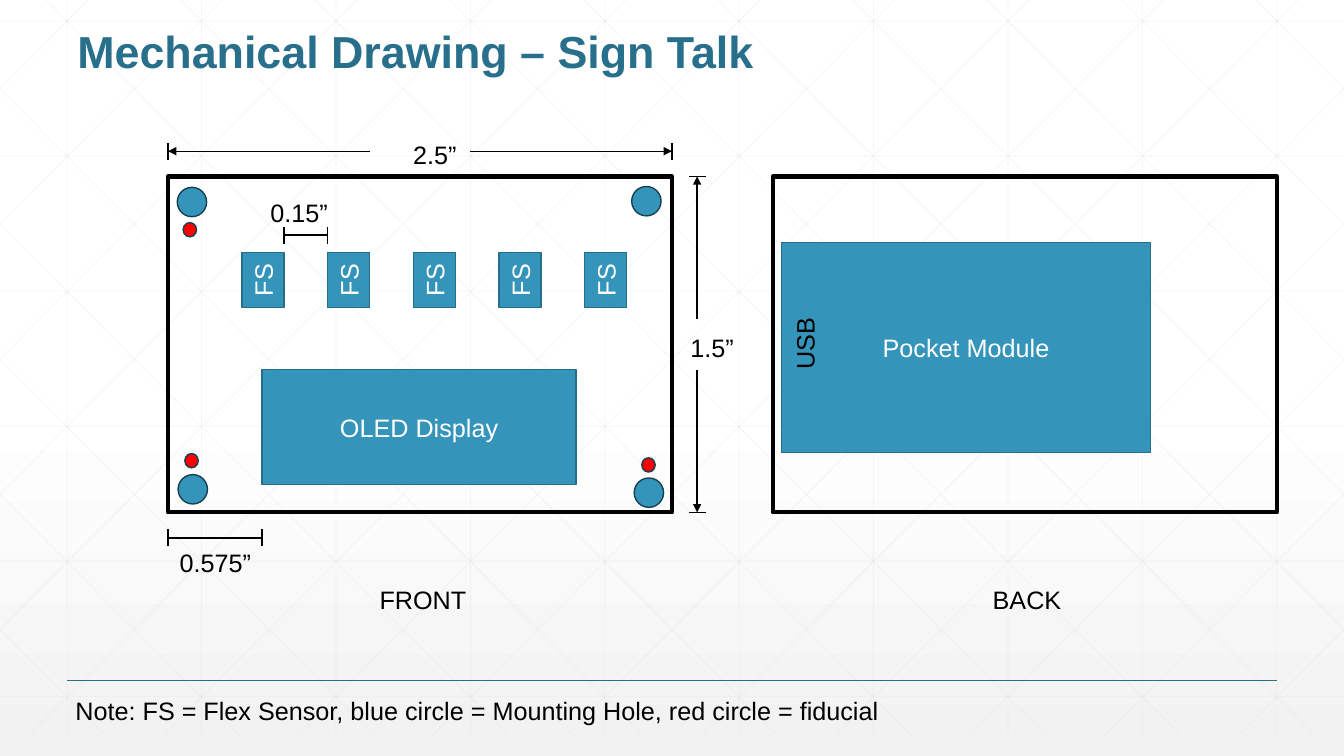
"""Build the mechanical drawing slide on a grid of 160 columns by 90 rows."""
from dataclasses import dataclass
from typing import Optional

import pptx
import pptx.dml.color
import pptx.enum.shapes
import pptx.enum.text
import pptx.oxml
import pptx.oxml.ns
import pptx.util
from lxml import etree

RGBColor = pptx.dml.color.RGBColor
MSO_SHAPE = pptx.enum.shapes.MSO_SHAPE
MSO_ANCHOR = pptx.enum.text.MSO_ANCHOR
MSO_AUTO_SIZE = pptx.enum.text.MSO_AUTO_SIZE
PP_ALIGN = pptx.enum.text.PP_ALIGN
qn = pptx.oxml.ns.qn

BLACK = RGBColor(0x00, 0x00, 0x00)
WHITE = RGBColor(0xFF, 0xFF, 0xFF)
LIGHT_GRAY = RGBColor(0xF2, 0xF2, 0xF2)
GRID_GRAY = RGBColor(0xD9, 0xD9, 0xD9)
TITLE_BLUE = RGBColor(0x27, 0x6F, 0x8B)
PART_BLUE = RGBColor(0x34, 0x94, 0xBA)
PART_EDGE = RGBColor(0x26, 0x6D, 0x8A)
HOLE_EDGE = RGBColor(0x17, 0x41, 0x52)
RED = RGBColor(0xFF, 0x00, 0x00)

COLUMNS, ROWS = 160, 90
GRID_TOP, GRID_BOTTOM, GRID_STEP = -2.5, 87.5, 16
DIAGONAL_RUN = 89.5
FONT = "Arial"


@dataclass
class Box:
    """A rectangle on the grid."""
    left: float
    top: float
    width: float
    height: float


@dataclass
class Part:
    """A filled or outlined shape of the board."""
    box: Box
    fill: Optional[RGBColor] = PART_BLUE
    edge: RGBColor = PART_EDGE
    weight: float = 1
    kind: MSO_SHAPE = MSO_SHAPE.RECTANGLE
    text: str = ""
    vertical: bool = False


@dataclass
class Label:
    """A black text on the grid."""
    text: str
    box: Box
    wrap: bool = False
    rotation: float = 0


@dataclass
class Dimension:
    """A measuring line with end ticks, and arrows where it has a gap."""
    start: float
    end: float
    cross: float
    gap: Optional[tuple[float, float]] = None
    vertical: bool = False


BOARD_TOP, BOARD_HEIGHT, BOARD_WIDTH = 21, 40, 60
FRONT_LEFT, BACK_LEFT = 20, 92
SENSOR_LEFT, SENSOR_STEP, SENSOR_WIDTH = 28.8, 10.2, 5
HOLES = [(21.1, 22.3), (21.2, 56.5), (75.5, 56.9), (75.2, 22.2)]
FIDUCIALS = [(21.8, 26.5), (22, 54), (76.4, 54.5)]

PARTS = [
    *(Part(Box(left, BOARD_TOP, BOARD_WIDTH, BOARD_HEIGHT), None, BLACK, 3)
      for left in (FRONT_LEFT, BACK_LEFT)),
    *(Part(Box(SENSOR_LEFT + SENSOR_STEP * index, 30.1, SENSOR_WIDTH, 6.5),
           text="FS", vertical=True) for index in range(5)),
    Part(Box(31.2, 44, 37.4, 13.7), text="OLED Display"),
    Part(Box(93, 28.9, 44, 25), text="Pocket Module"),
    *(Part(Box(left, top, 3.5, 3.5), edge=HOLE_EDGE, kind=MSO_SHAPE.OVAL)
      for left, top in HOLES),
    *(Part(Box(left, top, 1.6, 1.7), RED, HOLE_EDGE, kind=MSO_SHAPE.OVAL)
      for left, top in FIDUCIALS),
]
LABELS = [
    Label("2.5”", Box(48, 16, 7.7, 4.8)),
    Label("1.5”", Box(81, 39, 7.7, 4.8)),
    Label("0.15”", Box(31, 22.9, 11.9, 4.8), wrap=True),
    Label("0.575”", Box(20.2, 64.6, 11.9, 4.8), wrap=True),
    Label("FRONT", Box(44, 69, 12.8, 4.8)),
    Label("BACK", Box(117, 69, 10.7, 4.8)),
    Label("USB", Box(91.5, 38.5, 8.6, 4.8), rotation=270),
    Label("Note: FS = Flex Sensor, blue circle = Mounting Hole, red circle = fiducial",
          Box(7.8, 82.2, 109.2, 4.8), wrap=True),
]
DIMENSIONS = [
    Dimension(20, 80, 18, gap=(44, 56)),
    Dimension(21, 61, 83, gap=(38, 44), vertical=True),
    Dimension(20, 31.2, 64),
    Dimension(SENSOR_LEFT + SENSOR_WIDTH, SENSOR_LEFT + SENSOR_STEP, 28),
]

presentation = pptx.Presentation()
presentation.slide_width = pptx.util.Inches(13.333)
presentation.slide_height = pptx.util.Inches(7.5)
slide = presentation.slides.add_slide(presentation.slide_layouts[5])


def across(columns: float) -> int:
    """Turn grid columns into a length."""
    return round(presentation.slide_width * columns / COLUMNS)


def down(rows: float) -> int:
    """Turn grid rows into a length."""
    return round(presentation.slide_height * rows / ROWS)


def place(box: Box) -> tuple[int, int, int, int]:
    """Turn a grid box into left, top, width and height."""
    return across(box.left), down(box.top), across(box.width), down(box.height)


def add_line(x1: float, y1: float, x2: float, y2: float, color: RGBColor = BLACK,
             weight: float = 1, arrow: bool = False, opacity: int = 100) -> None:
    """Draw a line, with an arrowhead at its start if wanted."""
    connector = slide.shapes.add_connector(
        pptx.enum.shapes.MSO_CONNECTOR.STRAIGHT, across(x1), down(y1), across(x2), down(y2))
    connector.line.color.rgb = color
    connector.line.width = pptx.util.Pt(weight)
    properties = connector.element.spPr
    if opacity < 100:
        etree.SubElement(next(properties.iter(qn("a:srgbClr"))), qn("a:alpha"),
                         val=str(opacity * 1000))
    if arrow:
        etree.SubElement(properties.find(qn("a:ln")), qn("a:headEnd"), type="triangle")
    etree.SubElement(properties, qn("a:effectLst"))


def add_background() -> None:
    """Fill the background and draw its faint grid with both sets of diagonals."""
    fill = slide.background.fill
    fill.gradient()
    fill.gradient_angle = 270
    for stop, color, position in zip(fill.gradient_stops, (WHITE, LIGHT_GRAY), (0.53, 1)):
        stop.color.rgb = color
        stop.position = position
    height = GRID_BOTTOM - GRID_TOP
    lines = [(x, GRID_TOP, x, GRID_BOTTOM) for x in range(8, COLUMNS, GRID_STEP)]
    lines += [(0, 2.5 + 16.08 * row, COLUMNS, 2.5 + 16.08 * row) for row in range(6)]
    for index in range(-5, 10):
        top_x = 3 + GRID_STEP * index
        first = max(0, -top_x / DIAGONAL_RUN)
        last = min(1, (COLUMNS - top_x) / DIAGONAL_RUN)
        x1, x2 = (top_x + DIAGONAL_RUN * share for share in (first, last))
        y1, y2 = (GRID_TOP + height * share for share in (first, last))
        lines += [(x1, y1, x2, y2), (COLUMNS - x1, y1, COLUMNS - x2, y2)]
    for line in lines:
        add_line(*line, color=GRID_GRAY, weight=0.5, opacity=25)
    add_line(8, 81, 152, 81, TITLE_BLUE)


def add_title(text: str) -> None:
    """Format the title and bring it in front of the grid."""
    title = slide.shapes.title
    title.left, title.top, title.width, title.height = place(Box(8, 3, 144, 12))
    frame = title.text_frame
    frame.vertical_anchor = MSO_ANCHOR.TOP
    frame.auto_size = MSO_AUTO_SIZE.NONE
    frame.text = text
    paragraph = frame.paragraphs[0]
    paragraph.alignment = PP_ALIGN.LEFT
    paragraph.line_spacing = 0.9
    set_font(paragraph, TITLE_BLUE, 32)
    paragraph.font.bold = True
    title.element.getparent().append(title.element)


def set_font(paragraph, color: RGBColor, size: float = 18) -> None:
    """Set the font of a paragraph."""
    paragraph.font.name = FONT
    paragraph.font.size = pptx.util.Pt(size)
    paragraph.font.color.rgb = color


def add_part(part: Part) -> None:
    """Draw a part of the board."""
    shape = slide.shapes.add_shape(part.kind, *place(part.box))
    shape.shadow.inherit = False
    if part.fill is None:
        shape.fill.background()
    else:
        shape.fill.solid()
        shape.fill.fore_color.rgb = part.fill
    shape.line.color.rgb = part.edge
    shape.line.width = pptx.util.Pt(part.weight)
    if part.text:
        frame = shape.text_frame
        frame.text = part.text
        frame.vertical_anchor = MSO_ANCHOR.MIDDLE
        frame.paragraphs[0].alignment = PP_ALIGN.CENTER
        set_font(frame.paragraphs[0], WHITE)
        if part.vertical:
            shape.element.txBody.find(qn("a:bodyPr")).set("vert", "vert270")


def add_label(label: Label) -> None:
    """Write a label."""
    shape = slide.shapes.add_textbox(*place(label.box))
    shape.rotation = label.rotation
    frame = shape.text_frame
    frame.word_wrap = label.wrap
    frame.auto_size = MSO_AUTO_SIZE.SHAPE_TO_FIT_TEXT
    frame.text = label.text
    set_font(frame.paragraphs[0], BLACK)


def add_dimension(dimension: Dimension) -> None:
    """Draw a measuring line and its end ticks."""
    start, end, cross = dimension.start, dimension.end, dimension.cross
    lines = [(at, cross - 1, at, cross + 1, 1, False) for at in (start, end)]
    if dimension.gap:
        lines += [(outer, cross, inner, cross, 1, True)
                  for outer, inner in zip((start, end), dimension.gap)]
    else:
        lines.append((start, cross, end, cross, 1.5, False))
    for x1, y1, x2, y2, weight, arrow in lines:
        ends = (y1, x1, y2, x2) if dimension.vertical else (x1, y1, x2, y2)
        add_line(*ends, weight=weight, arrow=arrow)


add_background()
add_title("Mechanical Drawing – Sign Talk")
for part in PARTS:
    add_part(part)
for dimension in DIMENSIONS:
    add_dimension(dimension)
for label in LABELS:
    add_label(label)
presentation.save("out.pptx")
